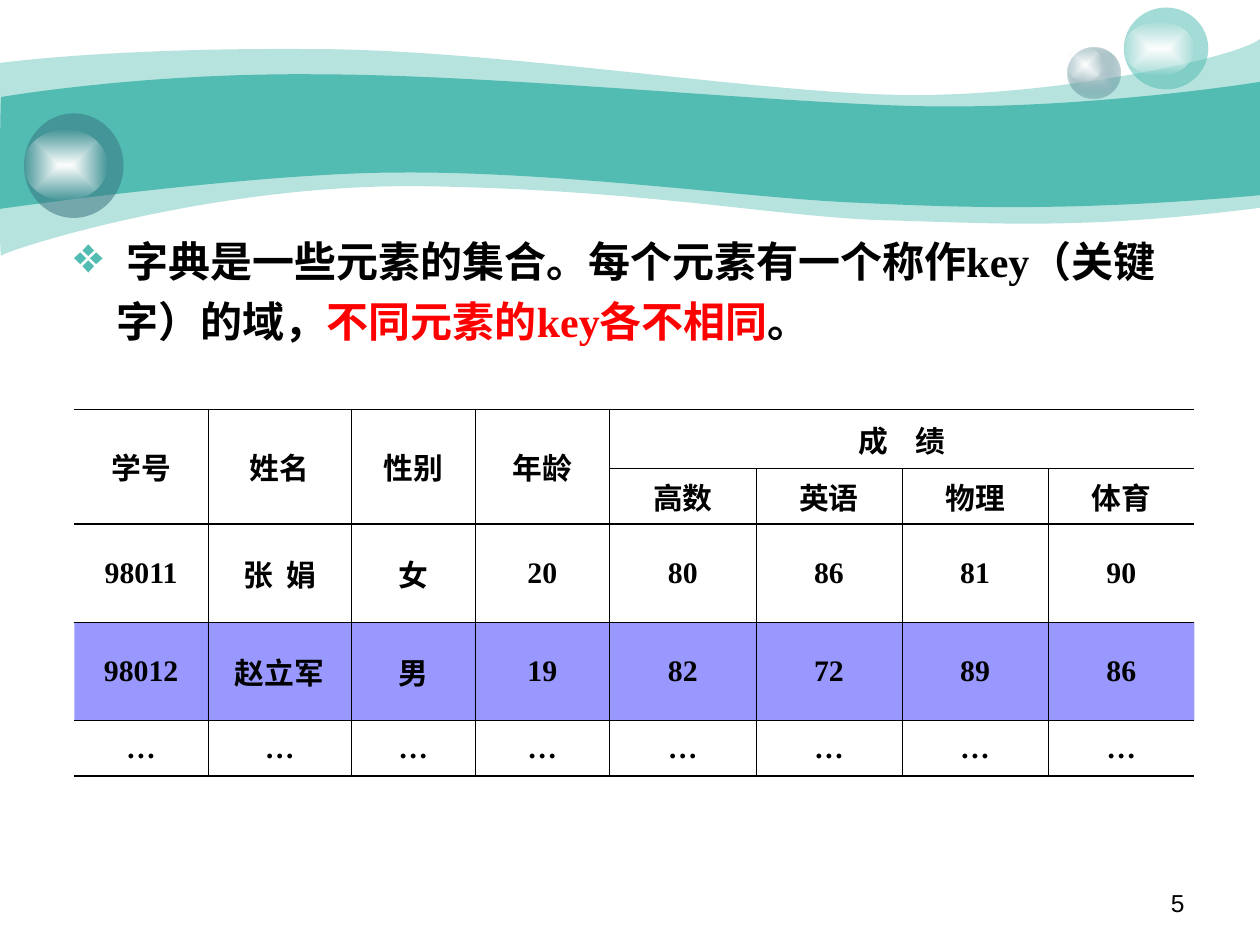
"""Build a slide that defines a dictionary and shows a student record table."""
from lxml.etree import SubElement as Sub
from pptx import Presentation
from pptx.dml.color import RGBColor
from pptx.enum.shapes import MSO_SHAPE as SHAPE
from pptx.enum.text import MSO_ANCHOR as ANCHOR, PP_ALIGN as ALIGN
from pptx.oxml.ns import qn
from pptx.util import Inches, Pt

TEAL, SLATE, BLACK, RED, WHITE = "52BCB2", "37737F", "000000", "FF0000", "FFFFFF"
THICK, THIN = 1.08, 0.45

OUTER_WAVE = [
    [(0, 0.5)], [(0.24, 0.47), (1.07, 0.38), (2.47, 0.39)],
    [(3.86, 0.39), (5.75, 0.7), (6.99, 0.75)], [(8.22, 0.8), (9.8, 0.47), (10, 0.31)],
    [(10, 1.65)], [(8.58, 1.83), (7.87, 1.77), (7.05, 1.75)],
    [(6.22, 1.73), (5.15, 1.51), (3.43, 1.48)], [(1.72, 1.44), (0.04, 1.99), (0.01, 2.03)],
    [(-0.01, 2.08), (0, 0.75), (0, 0.5)],
]
INNER_WAVE = [
    [(0.01, 0.77)], [(0.02, 0.77), (1.1, 0.58), (2.48, 0.59)],
    [(3.86, 0.59), (5.95, 0.8), (7.18, 0.84)], [(8.41, 0.88), (9.76, 0.69), (10, 0.65)],
    [(10, 1.55)], [(8.53, 1.68), (7.65, 1.65), (6.82, 1.61)],
    [(5.99, 1.58), (4.47, 1.36), (3.17, 1.37)], [(2.03, 1.37), (-0.02, 1.66), (-0.01, 1.66)],
    [(0, 1.66), (0, 0.77), (0.01, 0.77)],
]
GLOSS = [(0, WHITE, 100), (100, WHITE, 0)]
BUBBLES = [
    ((8.47, 0.38, 0.42, 0.4), [(0, "CCDBDE", 100), (100, SLATE, 31)]),
    ((8.47, 0.38, 0.28, 0.27), GLOSS),
    ((8.92, 0.06, 0.67, 0.65), (TEAL, 53)),
    ((8.92, 0.17, 0.56, 0.43), GLOSS),
    ((0.19, 0.9, 0.79, 0.83), (SLATE, 53)),
    ((0.19, 1.03, 0.66, 0.56), GLOSS),
]
DEFINITION = [
    (" 字典是一些元素的集合。每个元素有一个称作key（关键字）的域，", BLACK),
    ("不同元素的key各不相同", RED),
    ("。", BLACK),
]
COLS = [1.06, 1.14, 0.98, 1.07] + [1.16] * 4
HEIGHTS = [0.47, 0.44, 0.78, 0.78, 0.44]
ROWS = [
    ["学号", "姓名", "性别", "年龄", "成    绩", "", "", ""],
    ["", "", "", "", "高数", "英语", "物理", "体育"],
    ["98011", "张  娟", "女", "20", "80", "86", "81", "90"],
    ["98012", "赵立军", "男", "19", "82", "72", "89", "86"],
    ["…"] * 8,
]
MARKED_ROW, SCORES, HEADS = 3, 4, 2


def rgb(color):
    return RGBColor.from_string(color)


def paint(fill, color, alpha=100):
    fill.solid()
    fill.fore_color.rgb = rgb(color)
    if alpha < 100:
        node = fill.fore_color._xFill.find(qn("a:srgbClr"))
        Sub(node, qn("a:alpha"), val=str(alpha * 1000))


def paint_radial(sp, stops):
    grad = Sub(sp._element.spPr, qn("a:gradFill"), rotWithShape="1")
    sp._element.spPr.find(qn("a:prstGeom")).addnext(grad)
    gs_list = Sub(grad, qn("a:gsLst"))
    for pos, color, alpha in stops:
        stop = Sub(gs_list, qn("a:gs"), pos=str(pos * 1000))
        node = Sub(stop, qn("a:srgbClr"), val=color)
        Sub(node, qn("a:alpha"), val=str(alpha * 1000))
    shade = Sub(grad, qn("a:path"), **{"path": "rect"})
    Sub(shade, qn("a:fillToRect"), l="50000", t="50000", r="50000", b="50000")


def add_wave(s, segments, color, alpha=100):
    points = [(Inches(x), Inches(y)) for seg in segments for x, y in seg]
    builder = s.shapes.build_freeform(*points[0])
    builder.add_line_segments(points[1:], close=True)
    sp = builder.convert_to_shape()
    lines = iter(list(sp._element.iter(qn("a:lnTo"))))
    for seg in segments[1:]:
        group = [next(lines) for _ in seg]
        if len(group) == 3:
            curve = Sub(group[0].getparent(), qn("a:cubicBezTo"))
            group[0].addprevious(curve)
            for line in group:
                curve.append(line[0])
                line.getparent().remove(line)
    sp.shadow.inherit = False
    sp.line.fill.background()
    paint(sp.fill, color, alpha)


def add_bubble(s, box, look):
    sp = s.shapes.add_shape(SHAPE.OVAL, *map(Inches, box))
    sp.shadow.inherit = False
    sp.line.fill.background()
    if isinstance(look, list):
        paint_radial(sp, look)
    else:
        paint(sp.fill, *look)


def add_run(p, text, size, color=BLACK, font="Times New Roman", bold=True):
    r = p.add_run()
    r.text = text
    r.font.size, r.font.name, r.font.bold = Pt(size), font, bold
    r.font.color.rgb = rgb(color)


def add_box(s, box):
    tf = s.shapes.add_textbox(*map(Inches, box)).text_frame
    tf.word_wrap = True
    return tf.paragraphs[0]


def set_borders(cell, widths):
    tc_pr = cell._tc.get_or_add_tcPr()
    for i, (side, width) in enumerate(zip("LRTB", widths)):
        ln = Sub(tc_pr, qn("a:ln" + side), w=str(int(Pt(width))))
        if width:
            Sub(Sub(ln, qn("a:solidFill")), qn("a:srgbClr"), val=BLACK)
        else:
            Sub(ln, qn("a:noFill"))
        tc_pr.insert(i, ln)


def edge_above(row, col):
    if row in (0, HEADS, len(ROWS)):
        return THICK
    return 0 if row == 1 and col < SCORES else THIN


def edge_before(row, col):
    return 0 if col in (0, len(COLS)) or (row == 0 and col > SCORES) else THIN


def add_records(s):
    frame = s.shapes.add_table(len(ROWS), len(COLS), Inches(0.59), Inches(3.25),
                               Inches(sum(COLS)), Inches(sum(HEIGHTS)))
    table = frame.table
    table.first_row = table.horz_banding = False
    for col, width in zip(table.columns, COLS):
        col.width = Inches(width)
    for row, height in zip(table.rows, HEIGHTS):
        row.height = Inches(height)
    for c in range(SCORES):
        table.cell(0, c).merge(table.cell(1, c))
    table.cell(0, SCORES).merge(table.cell(0, len(COLS) - 1))
    for r, texts in enumerate(ROWS):
        for c, text in enumerate(texts):
            cell = table.cell(r, c)
            cell.vertical_anchor = ANCHOR.MIDDLE
            if r == MARKED_ROW:
                paint(cell.fill, "3333FF", 50)
            else:
                cell.fill.background()
            bottom = THICK if r < HEADS and c < SCORES else edge_above(r + 1, c)
            set_borders(cell, (edge_before(r, c), edge_before(r, c + 1), edge_above(r, c), bottom))
            if text:
                p = cell.text_frame.paragraphs[0]
                p.alignment = ALIGN.CENTER
                add_run(p, text, 17)


def main():
    prs = Presentation()
    prs.slide_width, prs.slide_height = Inches(10), Inches(7.5)
    s = prs.slides.add_slide(prs.slide_layouts[6])
    add_wave(s, OUTER_WAVE, TEAL, 41)
    add_wave(s, INNER_WAVE, TEAL)
    for box, look in BUBBLES:
        add_bubble(s, box, look)

    p = add_box(s, (7.17, 7, 2.33, 0.35))
    p.alignment = ALIGN.RIGHT
    add_run(p, "5", 14, font="Arial", bold=False)

    p = add_box(s, (0.35, 1.74, 9.4, 1.26))
    p.line_spacing = 1.2
    p_pr = p._p.get_or_add_pPr()
    p_pr.set("marL", str(Inches(0.48)))
    p_pr.set("indent", str(Inches(-0.34)))
    Sub(Sub(p_pr, qn("a:buClr")), qn("a:srgbClr"), val=TEAL)
    Sub(p_pr, qn("a:buSzPct"), val="120000")
    Sub(p_pr, qn("a:buChar"), char="❖")
    for text, color in DEFINITION:
        add_run(p, text, 24, color)

    add_records(s)
    prs.save("out.pptx")


if __name__ == "__main__":
    main()
